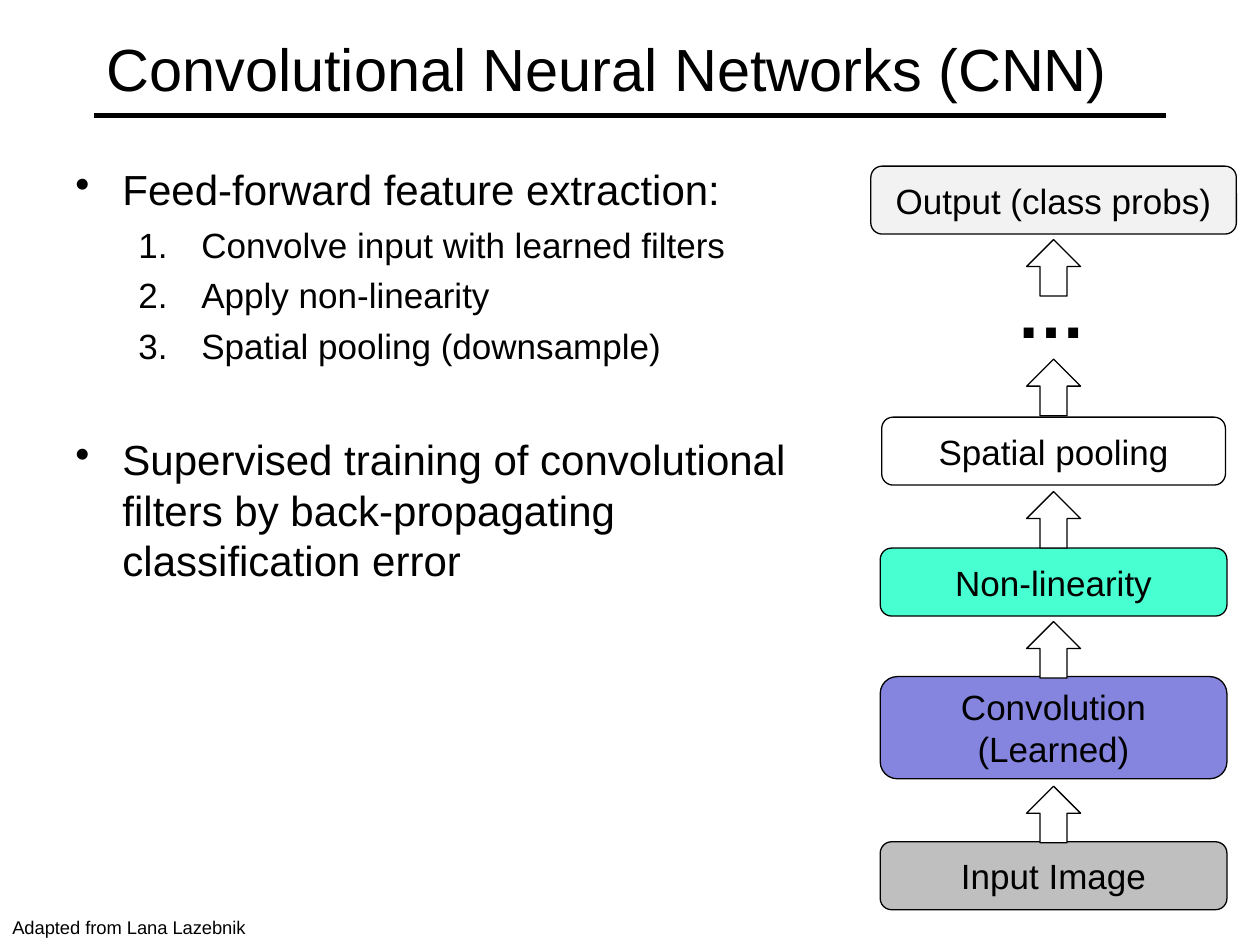
from lxml import etree
from pptx import Presentation
from pptx.dml.color import RGBColor
from pptx.enum import shapes, text
from pptx.oxml import ns
from pptx.util import Cm, Pt

COLORS = {
    "ink": "000000",
    "paper": "FFFFFF",
    "input": "BFBFBF",
    "convolution": "8585E0",
    "nonlinearity": "47FFD1",
    "output": "F2F2F2",
}


def rgb(name):
    return RGBColor.from_string(COLORS[name])


def write(paragraph, words, size=20, bold=False, align=None, before=0):
    paragraph.text = words
    paragraph.alignment = align
    paragraph.space_before = Pt(before)
    for run in paragraph.runs:
        run.font.name = "Arial"
        run.font.size = Pt(size)
        run.font.bold = bold
        run.font.color.rgb = rgb("ink")


class Deck:
    def __init__(self, width, height):
        self.presentation = Presentation()
        self.presentation.slide_width = Cm(width)
        self.presentation.slide_height = Cm(height)
        self.slide = self.presentation.slides.add_slide(self.presentation.slide_layouts[6])

    def rule(self, left, right, y, weight):
        underline = self.slide.shapes.add_connector(
            shapes.MSO_CONNECTOR.STRAIGHT, Cm(left), Cm(y), Cm(right), Cm(y))
        underline.line.color.rgb = rgb("ink")
        underline.line.width = Pt(weight)
        etree.SubElement(underline._element.spPr, ns.qn("a:effectLst"))

    def label(self, left, top, width, height, words="", wrap=True,
              anchor=text.MSO_ANCHOR.TOP, **style):
        box = self.slide.shapes.add_textbox(Cm(left), Cm(top), Cm(width), Cm(height))
        frame = box.text_frame
        frame.word_wrap = wrap
        frame.vertical_anchor = anchor
        write(frame.paragraphs[0], words, **style)
        return frame

    def outline(self, left, top, width, height, items):
        frame = self.label(left, top, width, height)
        for index, (words, numbered, before) in enumerate(items):
            item = frame.add_paragraph() if index else frame.paragraphs[0]
            write(item, words, size=20 if numbered else 24, before=before)
            item.level = int(numbered)
            margin, hanging = (2.54, 1.27) if numbered else (0.95, 0.95)
            props = item._p.get_or_add_pPr()
            props.set("marL", str(Cm(margin)))
            props.set("indent", str(-Cm(hanging)))
            if numbered:
                etree.SubElement(props, ns.qn("a:buAutoNum"), type="arabicPeriod")
            else:
                etree.SubElement(props, ns.qn("a:buChar"), char="•")

    def block(self, kind, center, top, width, height, fill, words=""):
        block = self.slide.shapes.add_shape(
            kind, Cm(center - width / 2), Cm(top), Cm(width), Cm(height))
        block.shadow.inherit = False
        block.fill.solid()
        block.fill.fore_color.rgb = rgb(fill)
        block.line.color.rgb = rgb("ink")
        block.line.width = Pt(0.75)
        if words:
            frame = block.text_frame
            frame.word_wrap = True
            frame.vertical_anchor = text.MSO_ANCHOR.MIDDLE
            write(frame.paragraphs[0], words, align=text.PP_ALIGN.CENTER)


def main():
    deck = Deck(25.4, 19.05)
    deck.rule(1.9, 23.5, 2.33, 3)
    deck.outline(1.27, 3.18, 22.86, 12.57, [
        ("Feed-forward feature extraction:", False, 5),
        ("Convolve input with learned filters", True, 5),
        ("Apply non-linearity", True, 5),
        ("Spatial pooling (downsample)", True, 5),
        ("Supervised training of convolutional\vfilters by back-propagating\v"
         "classification error", False, 38.5),
    ])
    deck.label(0, 18.34, 5.31, 0.71, "Adapted from Lana Lazebnik", wrap=False, size=10.5)
    deck.label(1.9, 0.2, 21.6, 2.34, "Convolutional Neural Networks (CNN)",
               anchor=text.MSO_ANCHOR.MIDDLE, size=34)

    center = 21.24
    layers = [
        ("Input Image", "input", 16.97, 6.99, 1.37),
        ("Convolution (Learned)", "convolution", 13.64, 6.99, 2.06),
        ("Non-linearity", "nonlinearity", 11.05, 6.99, 1.37),
        ("Spatial pooling", "paper", 8.41, 6.93, 1.37),
        ("Output (class probs)", "output", 3.35, 7.37, 1.37),
    ]
    for words, fill, top, width, height in layers:
        deck.block(shapes.MSO_SHAPE.ROUNDED_RECTANGLE, center, top, width, height, fill, words)
    for top in (15.85, 12.53, 9.91, 7.24, 4.83):
        deck.block(shapes.MSO_SHAPE.UP_ARROW, center, top, 1.09, 1.14, "paper")
    deck.label(20.24, 5.28, 1.93, 1.96, "…", wrap=False, size=40, bold=True)

    deck.presentation.save("out.pptx")


if __name__ == "__main__":
    main()
